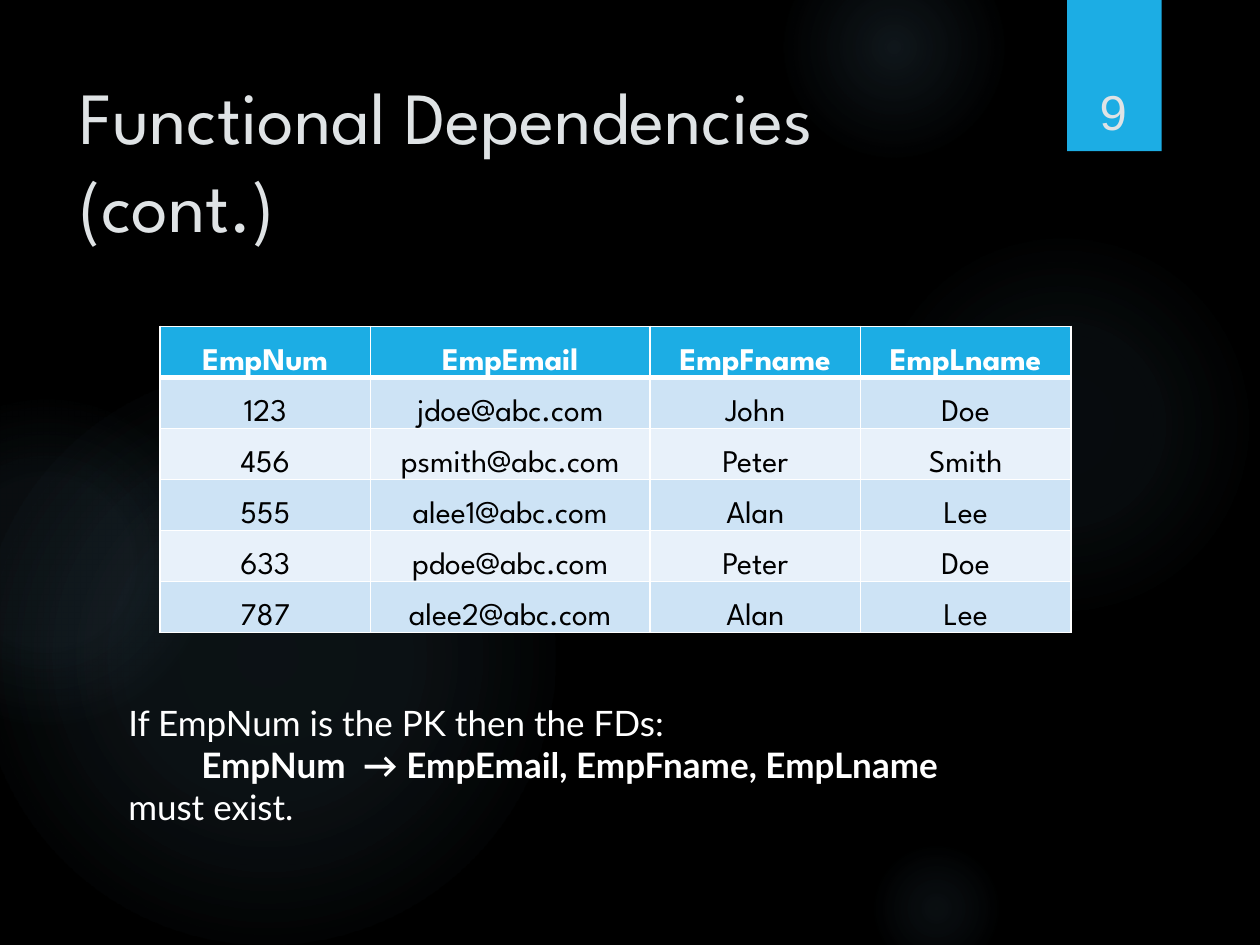
from dataclasses import dataclass

from lxml import etree
from pptx import Presentation
from pptx import util as u
from pptx.dml.color import RGBColor
from pptx.enum import shapes, text
from pptx.oxml import ns

IN = u.Inches


@dataclass(frozen=True)
class Theme:
    back: str = "000000"
    glow: str = "70A1C0"
    blue: str = "1CADE4"
    pale: str = "DFE3E5"
    white: str = "FFFFFF"
    black: str = "000000"
    bands: tuple = ("CDE3F5", "E8F1FA")
    head: str = "League Spartan"
    body: str = "Lato"
    num: str = "Arial"
    big: int = 42
    mid: int = 28
    base: int = 20
    small: int = 18


def rgb(hue):
    return RGBColor.from_string(hue)


def node(host, tag, **attrs):
    return etree.SubElement(host, ns.qn(tag), {k: str(v) for k, v in attrs.items()})


def tint(host, hue, alpha=100):
    color = node(host, "a:srgbClr", val=hue)
    if alpha < 100:
        node(color, "a:alpha", val=alpha * 1000)


def write(para, words, font, size, hue, bold=False, align=None):
    run = para.add_run()
    run.text = words
    run.font.name = font
    run.font.size = u.Pt(size)
    run.font.color.rgb = rgb(hue)
    run.font.bold = bold
    para.alignment = align


class Deck:
    def __init__(self, theme):
        self.theme = theme
        self.pres = Presentation()
        self.pres.slide_width, self.pres.slide_height = IN(10), IN(7.5)
        self.slide = self.pres.slides.add_slide(self.pres.slide_layouts[5])
        fill = self.slide.background.fill
        fill.solid()
        fill.fore_color.rgb = rgb(theme.back)

    def shape(self, kind, left, top, width, height):
        item = self.slide.shapes.add_shape(kind, IN(left), IN(top), IN(width), IN(height))
        item.shadow.inherit = False
        item.line.fill.background()
        return item

    def glow(self, left, top, size, stops):
        orb = self.shape(shapes.MSO_SHAPE.OVAL, left, top, size, size)
        orb.fill.gradient()
        grad = orb.fill._xPr.find(ns.qn("a:gradFill"))
        for child in list(grad):
            grad.remove(child)
        chain = node(grad, "a:gsLst")
        for place, alpha in stops:
            tint(node(chain, "a:gs", pos=place * 1000), self.theme.glow, alpha)
        focus = node(grad, "a:path", path="circle")
        node(focus, "a:fillToRect", l=50000, t=50000, r=50000, b=50000)

    def badge(self, left, top, width, height):
        tab = self.shape(shapes.MSO_SHAPE.RECTANGLE, left, top, width, height)
        tab.fill.solid()
        tab.fill.fore_color.rgb = rgb(self.theme.blue)
        effect = tab._element.spPr.find(ns.qn("a:effectLst"))
        shade = node(effect, "a:outerShdw", blurRad=u.Pt(3), dist=u.Pt(2), dir=5400000)
        tint(shade, self.theme.black, 45)

    def title(self, words, left, top, width, height):
        item = self.slide.shapes.title
        item.left, item.top, item.width, item.height = map(IN, (left, top, width, height))
        frame = item.text_frame
        frame.word_wrap = True
        frame.auto_size = text.MSO_AUTO_SIZE.NONE
        frame.vertical_anchor = text.MSO_ANCHOR.MIDDLE
        look = self.theme
        write(frame.paragraphs[0], words, look.head, look.big, look.pale,
              align=text.PP_ALIGN.LEFT)

    def box(self, lines, left, top, width, height, anchor=text.MSO_ANCHOR.TOP, **look):
        item = self.slide.shapes.add_textbox(IN(left), IN(top), IN(width), IN(height))
        frame = item.text_frame
        frame.word_wrap = True
        frame.vertical_anchor = anchor
        for i, (words, indent, bold) in enumerate(lines):
            para = frame.add_paragraph() if i else frame.paragraphs[0]
            write(para, words, bold=bold, **look)
            if indent:
                para._p.get_or_add_pPr().set("marL", str(IN(indent)))

    def cell(self, cell, words, fill, hue, bold, base):
        cell.margin_left = cell.margin_right = cell.margin_top = IN(0.01)
        cell.margin_bottom = 0
        cell.vertical_anchor = text.MSO_ANCHOR.BOTTOM
        look = self.theme
        write(cell.text_frame.paragraphs[0], words, look.head, look.small, hue,
              bold, text.PP_ALIGN.CENTER)
        props = cell._tc.get_or_add_tcPr()
        for side, width in (("L", 1), ("R", 1), ("T", 1), ("B", base)):
            edge = node(props, f"a:ln{side}", w=u.Pt(width))
            tint(node(edge, "a:solidFill"), look.white)
        cell.fill.solid()
        cell.fill.fore_color.rgb = rgb(fill)

    def table(self, rows, left, top, widths, height):
        grid = self.slide.shapes.add_table(
            len(rows), len(widths), IN(left), IN(top), IN(sum(widths)), IN(height)).table
        for col, width in zip(grid.columns, widths):
            col.width = IN(width)
        look = self.theme
        for r, row in enumerate(rows):
            first = r == 0
            fill = look.blue if first else look.bands[(r - 1) % 2]
            hue = look.white if first else look.black
            base = 3 if first else 1
            for c, words in enumerate(row):
                self.cell(grid.cell(r, c), words, fill, hue, first, base)


GLOWS = (
    (6.89, 1.83, 3.08, ((0, 7), (36, 6), (69, 0))),
    (6.22, -0.5, 1.75, ((0, 14), (36, 7), (73, 0))),
    (6.89, 6.67, 1.08, ((0, 9), (36, 5), (66, 0))),
    (-0.17, 2.92, 4.58, ((0, 11), (36, 10), (75, 0))),
    (-0.92, 3.17, 2.58, ((0, 8), (36, 8), (72, 0))),
)

STAFF = (
    ("EmpNum", "EmpEmail", "EmpFname", "EmpLname"),
    ("123", "jdoe@abc.com", "John", "Doe"),
    ("456", "psmith@abc.com", "Peter", "Smith"),
    ("555", "alee1@abc.com", "Alan", "Lee"),
    ("633", "pdoe@abc.com", "Peter", "Doe"),
    ("787", "alee2@abc.com", "Alan", "Lee"),
)

RULE = (
    ("If EmpNum is the PK then the FDs:", 0, False),
    ("EmpNum  → EmpEmail, EmpFname, EmpLname", 0.58, True),
    ("must exist.", 0, False),
)


def main():
    theme = Theme()
    deck = Deck(theme)
    for orb in GLOWS:
        deck.glow(*orb)
    deck.badge(8.47, 0, 0.75, 1.2)
    deck.title("Functional Dependencies (cont.)", 0.53, 0.5, 7.72, 1.53)
    deck.box(RULE, 0.92, 5.52, 7.1, 1.11,
             font=theme.body, size=theme.base, hue=theme.white)
    deck.table(STAFF, 1.27, 2.59, (1.67, 2.22, 1.67, 1.67), 2.43)
    deck.box((("9", 0, False),), 8.49, 0.32, 0.69, 0.84, text.MSO_ANCHOR.BOTTOM,
             font=theme.num, size=theme.mid, hue=theme.pale, align=text.PP_ALIGN.CENTER)
    deck.pres.save("out.pptx")


if __name__ == "__main__":
    main()
